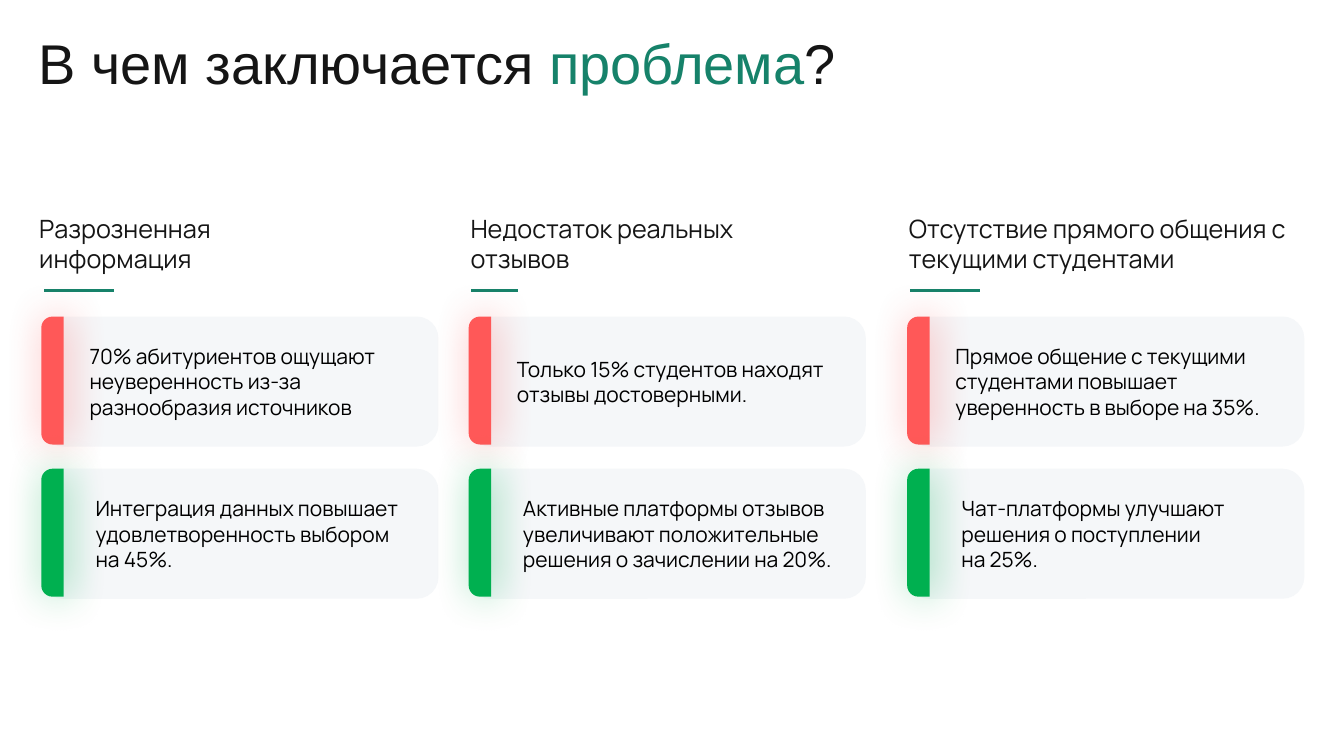
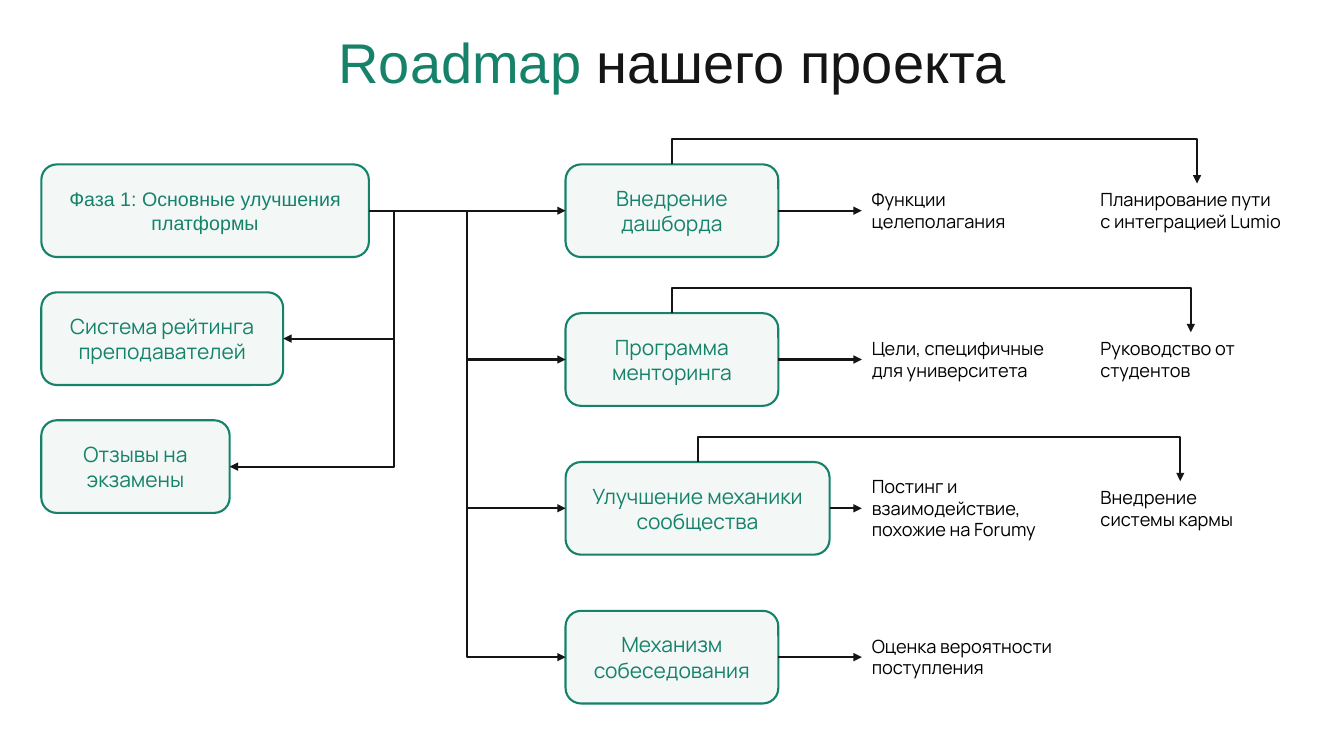
from lxml.etree import SubElement as Sub
from pptx import Presentation
from pptx.dml.color import RGBColor as RGB
from pptx.enum.shapes import MSO_CONNECTOR as LINK, MSO_SHAPE as FORM
from pptx.enum.text import MSO_ANCHOR as ANCHOR, MSO_AUTO_SIZE as FIT, PP_ALIGN as ALIGN
from pptx.oxml.ns import qn
from pptx.util import Pt

HEX = {"ink": "151515", "black": "000000", "brand": "16826A",
       "card": "F5F7F9", "red": "FF5858", "green": "00B050"}
FONT = {
    "title": {"name": "Arial", "size": Pt(40)},
    "head": {"name": "Manrope", "size": Pt(18)},
    "card": {"name": "Manrope", "size": Pt(15)},
    "phase": {"name": "Arial", "size": Pt(14)},
    "note": {"name": "Manrope", "size": Pt(13)},
}

# Slide 1: card left, heading left, heading width, rule width, heading, problem, remedy
COLS = [
    (29.5, 20.9, 234, 50, "Разрозненная информация",
     "70% абитуриентов ощущают неуверенность из-за разнообразия источников",
     "Интеграция данных повышает удовлетворенность выбором на 45%."),
    (334.8, 329, 234, 33, "Недостаток реальных отзывов",
     "Только 15% студентов находят отзывы достоверными.",
     "Активные платформы отзывов увеличивают положительные решения о зачислении на 20%."),
    (648, 642.2, 284, 50, "Отсутствие прямого общения с текущими студентами",
     "Прямое общение с текущими студентами повышает уверенность в выборе на 35%.",
     "Чат-платформы улучшают решения о поступлении\nна 25%."),
]
# Card top, bar colour, text indent, text width
BANDS = [(226.1, "red", 27.4, 246), (334.8, "green", 31.7, 235.4)]
CARD_W, CARD_H, BAR_W, BAR_H = 283.7, 92.9, 16, 91.4

# Slide 2: box text and width; notes as text, width and line count
PHASE = ("Фаза 1: Основные улучшения платформы", 234)
SIDE = [("Система рейтинга преподавателей", 172.8), ("Отзывы на экзамены", 134.6)]
STEPS = [
    ("Внедрение дашборда", 152,
     [("Функции целеполагания", 152, 2), ("Планирование пути\nс интеграцией Lumio", 152, 2)]),
    ("Программа менторинга", 152,
     [("Цели, специфичные для университета", 143.3, 2), ("Руководство от студентов", 143.3, 2)]),
    ("Улучшение механики сообщества", 188.6,
     [("Постинг и взаимодействие, похожие на Forumy", 157, 3),
      ("Внедрение системы кармы", 128.2, 2)]),
    ("Механизм собеседования", 152, [("Оценка вероятности поступления", 198, 2)]),
]
BOX_X, STEP_X, BOX_Y, BOX_H = 29.5, 404, 117.4, 66.2
SIDE_GAP, STEP_GAP, DETOUR = 91.4, 106.3, 18
NOTE_X, NOTE_LINE, NOTE_PAD = (615.6, 779), 15.85, 7.2
TOP, LEFT, RIGHT = 0, 1, 3  # connection sites of a rectangle


def rgb(key):
    return RGB.from_string(HEX[key])


def style(font, kind, color):
    for name, value in FONT[kind].items():
        setattr(font, name, value)
    font.color.rgb = rgb(color)


def frame(shape, **values):
    text = shape.text_frame
    for name, value in ({"word_wrap": True, "auto_size": FIT.NONE} | values).items():
        setattr(text, name, value)
    return text


def write(shape, words, kind, color, align=ALIGN.LEFT, anchor=ANCHOR.TOP):
    text = frame(shape, text=words, vertical_anchor=anchor)
    for par in text.paragraphs:
        par.alignment = align
        style(par.font, kind, color)


def label(slide, place, words, kind, color="black", anchor=ANCHOR.TOP):
    box = slide.shapes.add_textbox(*map(Pt, place))
    write(box, words, kind, color, anchor=anchor)
    return box


def shape(slide, form, place, fill):
    item = slide.shapes.add_shape(form, *map(Pt, place))
    item.shadow.inherit = False
    item.fill.solid()
    item.fill.fore_color.rgb = rgb(fill)
    item.line.fill.background()
    return item


def line(slide, kind, ends, color, width):
    item = slide.shapes.add_connector(kind, *map(Pt, ends))
    item.line.color.rgb = rgb(color)
    item.line.width = Pt(width)
    Sub(item._element.spPr, qn("a:effectLst"))
    return item


def page(deck, place, parts, align=ALIGN.LEFT):
    """Add a slide whose title is made of (text, colour) parts."""
    slide = deck.slides.add_slide(deck.slide_layouts[5])
    title = slide.shapes.title
    title.left, title.top, title.width, title.height = map(Pt, place)
    par = frame(title, vertical_anchor=ANCHOR.TOP).paragraphs[0]
    par.alignment = align
    for words, color in parts:
        run = par.add_run()
        run.text = words
        style(run.font, "title", color)
    return slide


def bar(slide, x, y, color):
    """Draw an upright bar, rounded on the left, with a soft glow."""
    mid_x, mid_y = x + BAR_W / 2, y + BAR_H / 2
    place = (mid_x - BAR_H / 2, mid_y - BAR_W / 2, BAR_H, BAR_W)
    item = shape(slide, FORM.ROUND_2_SAME_RECTANGLE, place, color)
    item.rotation = 270
    item.adjustments[0], item.adjustments[1] = 0.5, 0
    glow = Sub(item._element.spPr.find(qn("a:effectLst")), qn("a:outerShdw"),
               blurRad=str(Pt(29)), dist=str(Pt(3)), dir="0", algn="ctr", rotWithShape="0")
    tint = Sub(glow, qn("a:srgbClr"), val=HEX[color])
    Sub(tint, qn("a:alpha"), val="40000")


def node(slide, x, y, width, words, kind="card"):
    item = shape(slide, FORM.ROUNDED_RECTANGLE, (x, y, width, BOX_H), "brand")
    tint = item._element.spPr.find(qn("a:solidFill"))[0]
    Sub(tint, qn("a:alpha"), val="5000")
    item.line.color.rgb = rgb("brand")
    item.line.width = Pt(1.5)
    write(item, words, kind, "brand", ALIGN.CENTER, ANCHOR.MIDDLE)
    return item


def arrow(slide, start, out, end, into, kind=LINK.STRAIGHT):
    item = line(slide, kind, (0, 0, 0, 0), "ink", 1.5)
    item.begin_connect(start, out)
    item.end_connect(end, into)
    Sub(item.line._get_or_add_ln(), qn("a:tailEnd"), type="triangle")
    return item


def bend(item, ratio):
    """Place the middle leg of an elbow at a share of its span."""
    geom = item._element.spPr.find(qn("a:prstGeom"))
    guides = geom.find(qn("a:avLst"))
    if guides is None:
        guides = Sub(geom, qn("a:avLst"))
    Sub(guides, qn("a:gd"), name="adj1", fmla=f"val {round(ratio * 100000)}")


def over(slide, start, end):
    """Arrow that leaves upwards, passes over and comes down on the end shape."""
    item = arrow(slide, start, TOP, end, TOP, LINK.ELBOW)
    wide, high = item.width, item.height
    mid_x, mid_y = item.left + wide // 2, item.top + high // 2
    item.left, item.top = mid_x - high // 2, mid_y - wide // 2
    item.width, item.height = high, wide
    turn = item._element.spPr.find(qn("a:xfrm"))
    turn.set("rot", "16200000")
    turn.set("flipH", "1")
    bend(item, -Pt(DETOUR) / high)


def problem(deck):
    slide = page(deck, (20.2, 16.5, 726, 55.4),
                 [("В чем заключается ", "ink"), ("проблема", "brand"), ("?", "ink")])
    for x, head_x, head_w, rule, head, *facts in COLS:
        label(slide, (head_x, 149, head_w, 51), head, "head", "ink")
        line(slide, LINK.STRAIGHT, (x + 2, 207.4, x + 2 + rule, 207.4), "brand", 2)
        for (y, color, indent, width), fact in zip(BANDS, facts):
            shape(slide, FORM.ROUNDED_RECTANGLE, (x, y, CARD_W, CARD_H), "card")
            bar(slide, x, y, color)
            label(slide, (x + indent, y, width, CARD_H), fact, "card", anchor=ANCHOR.MIDDLE)


def roadmap(deck):
    slide = page(deck, (167, 15.8, 626, 55.4),
                 [("Roadmap ", "brand"), ("нашего проекта", "ink")], ALIGN.CENTER)
    words, width = PHASE
    phase = node(slide, BOX_X, BOX_Y, width, words, "phase")
    for i, (words, width) in enumerate(SIDE, 1):
        box = node(slide, BOX_X, BOX_Y + i * SIDE_GAP, width, words)
        link = arrow(slide, phase, RIGHT, box, RIGHT, LINK.ELBOW)
        bend(link, -Pt(DETOUR) / link.width)
    for i, (words, width, notes) in enumerate(STEPS):
        y = BOX_Y + i * STEP_GAP
        step = node(slide, STEP_X, y, width, words)
        link = arrow(slide, phase, RIGHT, step, LEFT, LINK.ELBOW if i else LINK.STRAIGHT)
        if i:
            bend(link, 0.5)
        boxes = []
        for x, (note, wide, rows) in zip(NOTE_X, notes):
            high = NOTE_PAD + rows * NOTE_LINE
            place = (x, y + (BOX_H - high) / 2, wide, high)
            boxes.append(label(slide, place, note, "note"))
        arrow(slide, step, RIGHT, boxes[0], LEFT)
        for box in boxes[1:]:
            over(slide, step, box)


def main():
    deck = Presentation()
    deck.slide_width, deck.slide_height = Pt(960), Pt(540)
    problem(deck)
    roadmap(deck)
    deck.save("out.pptx")


if __name__ == "__main__":
    main()
